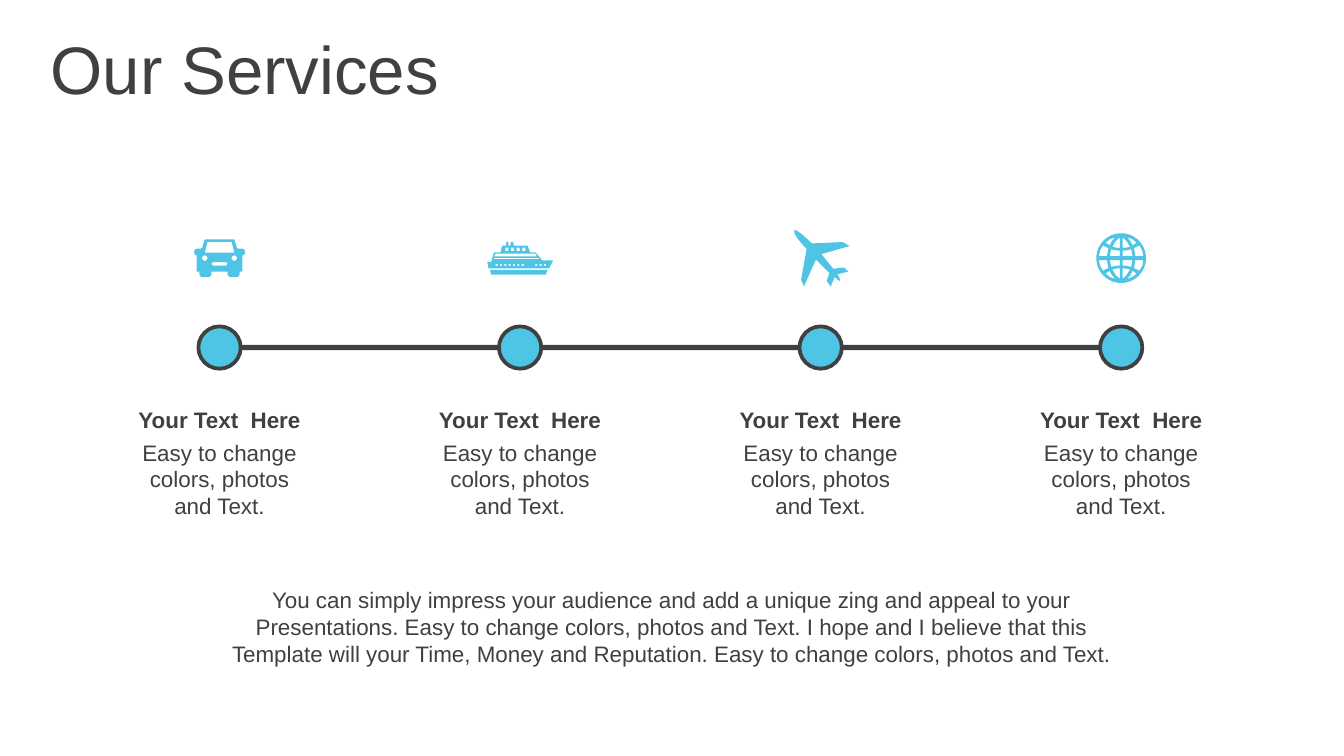
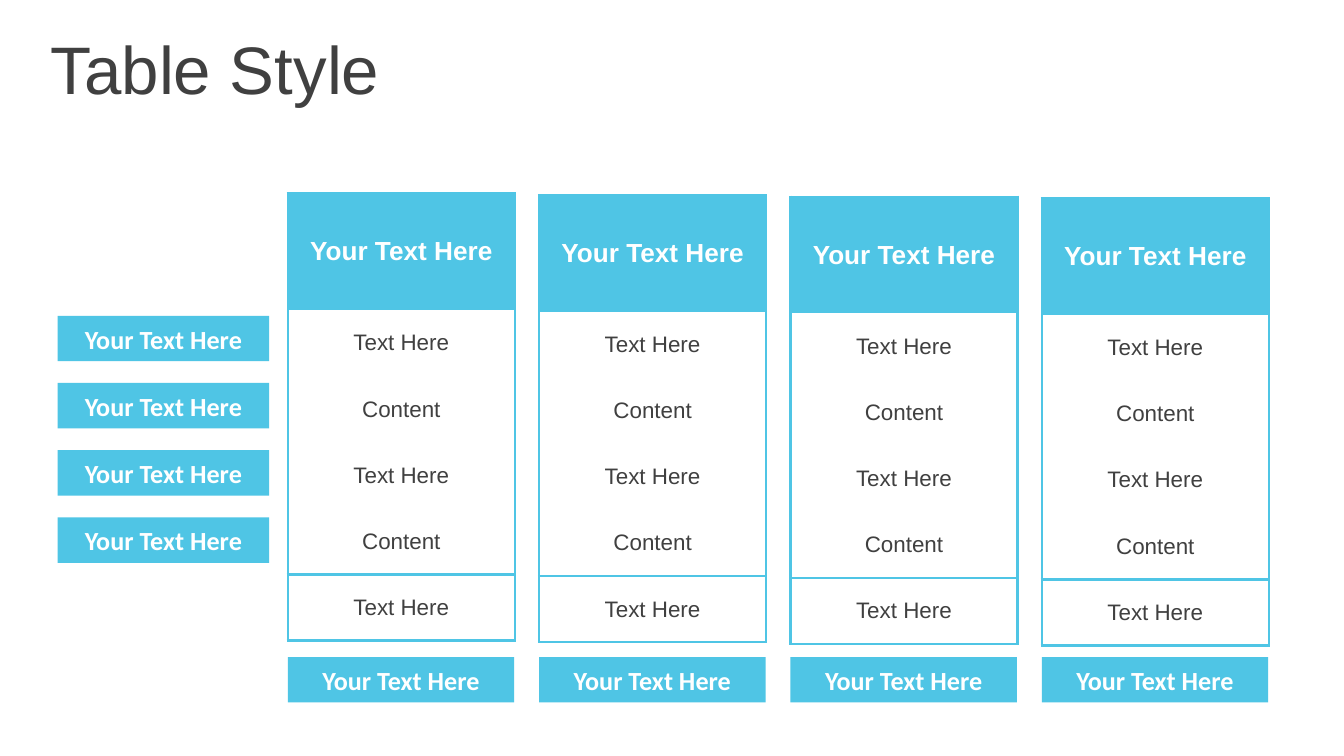
from math import cos, pi, sin
from itertools import product

from lxml.etree import SubElement
from pptx import Presentation
from pptx.dml.color import RGBColor
from pptx.enum.shapes import MSO_SHAPE as Shape
from pptx.enum.text import MSO_ANCHOR as Anchor, PP_ALIGN as Align
from pptx.oxml.ns import qn
from pptx.util import Cm, Pt

SKY = "4FC5E5"
INK = "404040"
WHITE = "FFFFFF"

TITLE = {"name": "Arial", "size": Pt(36)}
BODY = {"name": "Arial", "size": Pt(12), "bold": False}
HEADING = {"name": "Arial", "size": Pt(12), "bold": True}
TABLE_HEAD = {"name": "Arial", "size": Pt(14), "bold": True}
CHIP = {"name": "Calibri", "size": Pt(14), "bold": True}

ICON_UNIT = 0.0254
ICON_DETAIL = 100
COLUMNS = 4


def color(value):
    return RGBColor.from_string(value)


def lengths(box):
    return [Cm(value) for value in box]


def write(frame, text, formats, ink=INK, align=Align.CENTER):
    para = frame.paragraphs[0]
    para.alignment = align
    span = para.add_run()
    span.text = text
    for name, value in formats.items():
        setattr(span.font, name, value)
    span.font.color.rgb = color(ink)


def add_text(page, box, text, formats, align=Align.CENTER):
    frame = page.shapes.add_textbox(*lengths(box)).text_frame
    frame.word_wrap = True
    frame.vertical_anchor = Anchor.MIDDLE
    write(frame, text, formats, align=align)


def paint(shape, fill, line=None):
    shape.shadow.inherit = False
    shape.fill.solid()
    shape.fill.fore_color.rgb = color(fill)
    if line:
        shape.line.color.rgb = color(line)
        shape.line.width = Pt(2)
    else:
        shape.line.fill.background()


def add_block(page, kind, box, fill, line=None):
    block = page.shapes.add_shape(kind, *lengths(box))
    paint(block, fill, line)
    return block


def add_chip(page, box):
    chip = add_block(page, Shape.RECTANGLE, box, SKY)
    chip.text_frame.vertical_anchor = Anchor.MIDDLE
    write(chip.text_frame, "Your Text Here", CHIP, WHITE)


def add_title(page, text):
    add_text(page, (0.71, 0.48, 24.69, 1.6), text, TITLE, Align.LEFT)


def rectangle(left, top, width, height):
    right, bottom = left + width, top + height
    return [(left, top), (right, top), (right, bottom), (left, bottom)]


def circle(x, y, radius, steps=48):
    angles = [2 * pi * step / steps for step in range(steps)]
    return [(x + radius * cos(a), y + radius * sin(a)) for a in angles]


def car_outlines():
    body = [
        (8, 0), (30, 0), (32, 6.5), (33, 7), (36, 7), (37.5, 7.7), (38, 9.5),
        (37.5, 11.3), (36, 12), (36, 24), (34, 24), (34, 26.5), (32.5, 28),
        (26.5, 28), (25, 26.5), (25, 24), (13, 24), (13, 26.5), (11.5, 28),
        (5.5, 28), (4, 26.5), (4, 24), (2, 24), (2, 12), (0.5, 11.3),
        (0, 9.5), (0.5, 7.7), (2, 7), (5, 7), (6, 6.5),
    ]
    window = [(10, 2), (8, 10), (30, 10), (28, 2)]
    grille = [(14, 17), (24, 17), (25, 18.2), (24, 19.5), (14, 19.5), (13, 18.2)]
    return [body, window, grille, circle(8, 14, 2), circle(30, 14, 2)]


def ship_outlines():
    deck_side = [
        (18, 0), (19, 0), (20, 3), (30, 3), (32, 8), (36, 8), (41, 14),
        (49, 14), (46, 20), (1, 20), (0, 15), (3, 15), (5, 8), (10, 8),
        (11, 3), (14, 3), (14.3, 0), (15.8, 0), (15.8, 3), (17, 3),
    ]
    keel = [(2, 21), (45, 21), (43.5, 24.5), (3, 24.5)]
    stripes = [
        [(5, 12), (5, 13), (39, 13), (38, 12)],
        [(6, 9), (5, 11), (37, 11), (36, 9)],
    ]
    portholes = [rectangle(6.2 + 3.25 * i, 16.5, 1.5, 1.5) for i in range(7)]
    portholes += [rectangle(35.8 + 3.25 * i, 16.5, 1.5, 1.5) for i in range(3)]
    windows = [rectangle(13.5 + 4.2 * i, 4.5, 2.2, 2.5) for i in range(4)]
    return [deck_side, keel, *stripes, *portholes, *windows]


def plane_outlines():
    return [[
        (41, 31), (33, 33), (34.6, 36), (35, 38), (33, 37), (31, 35),
        (28, 42), (25, 38), (27, 32), (17, 22), (8, 42), (6, 37), (10, 14),
        (6.6, 10.4), (3.2, 6.2), (1, 2.5), (1, 0), (2.9, 0.6), (6.4, 3.1),
        (14, 10), (37, 9), (42, 12), (21, 18), (30, 29), (34, 28.2), (38, 28),
    ]]


def globe_outlines():
    radius = 18.5
    quarter = [
        [(1, 1.5), (8.5, 1.5), (7.5, 6.5), (4, 5.8), (1, 5.5)],
        [(1, 7.5), (1, 15.5), (4.2, 12.5), (6.5, 8.5), (4, 7.8)],
        [(10.5, 1.5), (9.5, 7.5), (11.5, 8.3), (13.5, 9.5), (15.7, 5.8), (16.5, 1.5)],
        [(8.5, 9.5), (7, 12.5), (4.5, 15.5), (8.5, 14), (11.5, 11.5)],
    ]
    cells = [
        [(radius + side * x, radius + half * y) for x, y in cell]
        for side, half, cell in product((1, -1), (1, -1), quarter)
    ]
    return [circle(radius, radius, radius), *cells]


def add_icon(page, center, middle, size, outlines):
    width, height = size
    scaled = [
        [(x * ICON_DETAIL, y * ICON_DETAIL) for x, y in outline]
        for outline in outlines
    ]
    builder = page.shapes.build_freeform(
        *scaled[0][0], scale=Cm(ICON_UNIT) / ICON_DETAIL
    )
    builder.add_line_segments(scaled[0][1:])
    for outline in scaled[1:]:
        builder.move_to(*outline[0])
        builder.add_line_segments(outline[1:])
    icon = builder.convert_to_shape(
        Cm(center - width * ICON_UNIT / 2), Cm(middle - height * ICON_UNIT / 2)
    )
    paint(icon, SKY)


def add_service(page, box, size, outlines):
    left, top, width = box
    center = left + width / 2
    add_icon(page, center, top + 0.54, size, outlines)
    add_block(page, Shape.OVAL, (center - 0.4, top + 1.83, 0.8, 0.8), SKY, INK)
    add_text(page, (left, top + 3.2, width, 0.77), "Your Text  Here", HEADING)
    add_text(
        page,
        (left, top + 3.82, width, 1.79),
        "Easy to change colors, photos and Text.",
        BODY,
    )


def build_services(page):
    add_title(page, "Our Services")
    left, top, width, pitch = 2.31, 4.34, 3.68, 5.68
    line = (left + width / 2, top + 2.18, pitch * (COLUMNS - 1), 0.1)
    add_block(page, Shape.RECTANGLE, line, INK)
    icons = [
        ((38, 28), car_outlines()),
        ((49, 24.5), ship_outlines()),
        ((41, 42), plane_outlines()),
        ((37, 37), globe_outlines()),
    ]
    for index, (size, outlines) in enumerate(icons):
        add_service(page, (left + pitch * index, top, width), size, outlines)
    add_text(
        page,
        (3.71, 10.95, 17.98, 1.79),
        "You can simply impress your audience and add a unique zing and appeal "
        "to your Presentations. Easy to change colors, photos and Text. I hope "
        "and I believe that this Template will your Time, Money and Reputation. "
        "Easy to change colors, photos and Text.",
        BODY,
    )


def set_borders(cell, sides):
    properties = cell._tc.get_or_add_tcPr()
    for side in "LRTB":
        line = SubElement(properties, qn(f"a:ln{side}"), w=str(Pt(1.5)))
        if side in sides:
            fill = SubElement(line, qn("a:solidFill"))
            SubElement(fill, qn("a:srgbClr"), val=SKY)
        else:
            SubElement(line, qn("a:noFill"))


def add_column_table(page, box):
    rows = [
        ("Your Text Here", "LRT"),
        ("Text Here", "LR"),
        ("Content", "LR"),
        ("Text Here", "LR"),
        ("Content", "LRB"),
        ("Text Here", "LRTB"),
    ]
    table = page.shapes.add_table(len(rows), 1, *lengths(box)).table
    table.first_row = table.horz_banding = False
    for index, (text, sides) in enumerate(rows):
        head = index == 0
        table.rows[index].height = Cm(2.2 if head else 1.25)
        cell = table.cell(index, 0)
        cell.vertical_anchor = Anchor.MIDDLE
        set_borders(cell, sides)
        if head:
            cell.fill.solid()
            cell.fill.fore_color.rgb = color(SKY)
            write(cell.text_frame, text, TABLE_HEAD, WHITE)
        else:
            cell.fill.background()
            write(cell.text_frame, text, BODY)


def build_tables(page):
    add_title(page, "Table Style")
    for index in range(4):
        add_chip(page, (1.09, 5.97 + 1.27 * index, 4, 0.86))
    for index in range(COLUMNS):
        left = 5.44 + 4.75 * index
        add_column_table(page, (left, 3.66 + 0.03 * index, 4.29, 8.45))
        add_chip(page, (left, 12.42, 4.28, 0.86))


def main():
    deck = Presentation()
    deck.slide_width, deck.slide_height = Cm(25.4), Cm(14.29)
    for build in (build_services, build_tables):
        build(deck.slides.add_slide(deck.slide_layouts[6]))
    deck.save("out.pptx")


if __name__ == "__main__":
    main()
